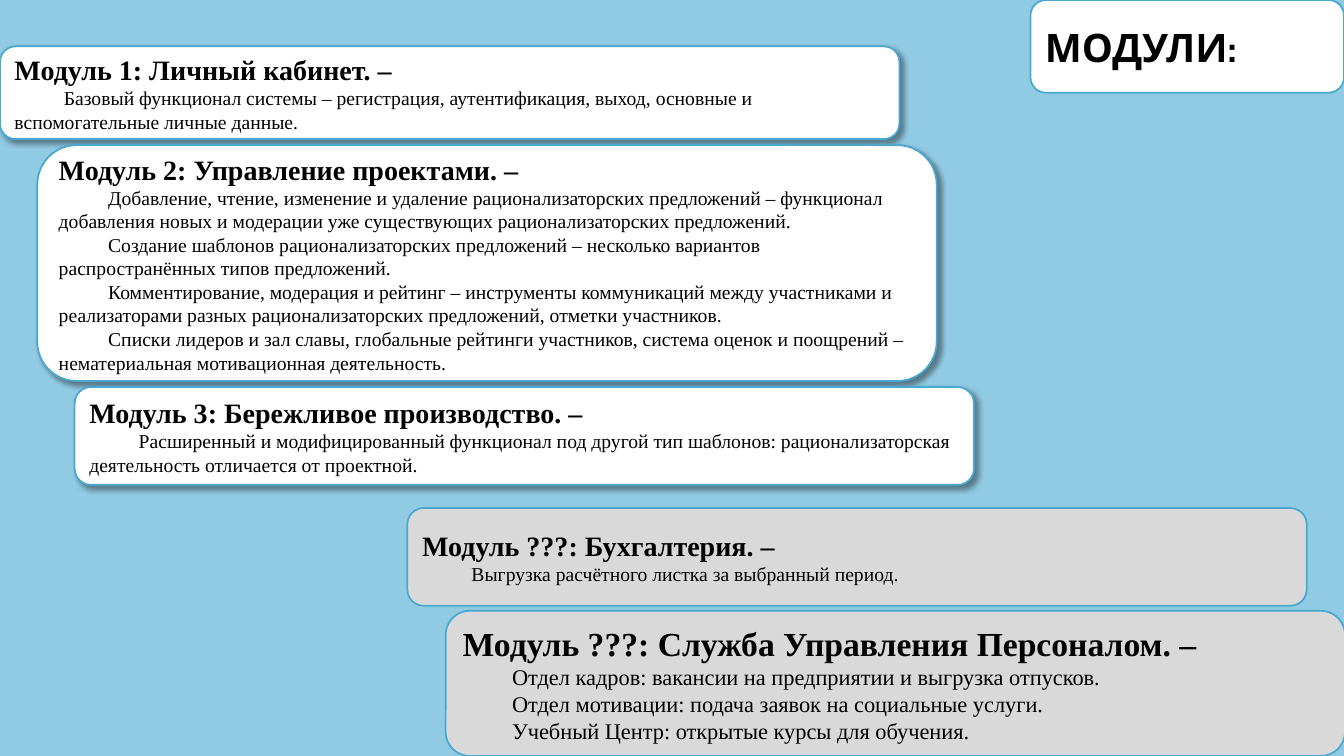
from lxml import etree
from pptx import Presentation
from pptx.dml.color import RGBColor
from pptx.enum.shapes import MSO_SHAPE
from pptx.enum.text import MSO_ANCHOR, PP_ALIGN
from pptx.oxml.ns import qn
from pptx.util import Inches, Pt

ROUNDED = MSO_SHAPE.ROUNDED_RECTANGLE
MIDDLE = MSO_ANCHOR.MIDDLE
LEFT = PP_ALIGN.LEFT

COLORS = {
    "background": "91CBE3",
    "line": "48A8D0",
    "active": "FFFFFF",
    "planned": "D9D9D9",
    "text": "000000",
}
TITLE_FONT = "Cabin"
BODY_FONT = "Times New Roman"
MODULE_WIDTH = 8.92
FIRST_LINE_INDENT = 0.49

TITLE = {"text": "МОДУЛИ:", "box": (10.22, 0, 3.11, 0.92), "size": 28}

# left, top, height in inches; sizes of heading and details in points
MODULES = [
    {"place": (0, 0.46, 0.92), "state": "active", "sizes": (20, 14),
     "heading": "Модуль 1: Личный кабинет. –",
     "details": [
         "Базовый функционал системы – регистрация, аутентификация, выход, "
         "основные и вспомогательные личные данные.",
     ]},
    {"place": (0.37, 1.44, 2.34), "state": "active", "sizes": (20, 14),
     "heading": "Модуль 2: Управление проектами. –",
     "details": [
         "Добавление, чтение, изменение и удаление рационализаторских предложений – функционал "
         "добавления новых и модерации уже существующих рационализаторских предложений.",
         "Создание шаблонов рационализаторских предложений – несколько вариантов "
         "распространённых типов предложений.",
         "Комментирование, модерация и рейтинг – инструменты коммуникаций между участниками и "
         "реализаторами разных рационализаторских предложений, отметки участников.",
         "Списки лидеров и зал славы, глобальные рейтинги участников, система оценок и "
         "поощрений – нематериальная мотивационная деятельность.",
     ]},
    {"place": (0.74, 3.84, 0.97), "state": "active", "sizes": (20, 14),
     "heading": "Модуль 3: Бережливое производство. –",
     "details": [
         "Расширенный и модифицированный функционал под другой тип шаблонов: "
         "рационализаторская деятельность отличается от проектной.",
     ]},
    {"place": (4.04, 5.04, 0.97), "state": "planned", "sizes": (20, 14),
     "heading": "Модуль ???: Бухгалтерия. –",
     "details": ["Выгрузка расчётного листка за выбранный период."]},
    {"place": (4.42, 6.06, 1.44), "state": "planned", "sizes": (24, 16),
     "heading": "Модуль ???: Служба Управления Персоналом. –",
     "details": [
         "Отдел кадров: вакансии на предприятии и выгрузка отпусков.",
         "Отдел мотивации: подача заявок на социальные услуги.",
         "Учебный Центр: открытые курсы для обучения.",
     ]},
]


def color(name):
    return RGBColor.from_string(COLORS[name])


def add_card(slide, box, fill):
    shape = slide.shapes.add_shape(ROUNDED, *[Inches(value) for value in box])
    shape.fill.solid()
    shape.fill.fore_color.rgb = color(fill)
    shape.line.color.rgb = color("line")
    shape.line.width = Pt(1.25)
    shape.shadow.inherit = False
    shape.text_frame.word_wrap = True
    shape.text_frame.vertical_anchor = MIDDLE
    return shape


def add_shadow(shape):
    """Cast a soft shadow towards the lower right."""
    effects = shape._element.spPr.find(qn("a:effectLst"))
    shadow = etree.SubElement(effects, qn("a:outerShdw"), blurRad=str(Pt(4)), dist=str(Pt(3)),
                              dir=str(45 * 60000), algn="tl", rotWithShape="0")
    shade = etree.SubElement(shadow, qn("a:srgbClr"), val=COLORS["text"])
    etree.SubElement(shade, qn("a:alpha"), val="40000")


def write(paragraph, text, size, font, bold):
    paragraph.alignment = LEFT
    run = paragraph.add_run()
    run.text = text
    run.font.size = Pt(size)
    run.font.name = font
    run.font.bold = bold
    run.font.color.rgb = color("text")


def add_module(slide, module):
    left, top, height = module["place"]
    shape = add_card(slide, (left, top, MODULE_WIDTH, height), module["state"])
    if module["state"] == "active":
        add_shadow(shape)
    heading_size, detail_size = module["sizes"]
    frame = shape.text_frame
    write(frame.paragraphs[0], module["heading"], heading_size, BODY_FONT, True)
    for detail in module["details"]:
        paragraph = frame.add_paragraph()
        write(paragraph, detail, detail_size, BODY_FONT, False)
        properties = paragraph._p.get_or_add_pPr()
        properties.set("marL", "0")
        properties.set("indent", str(Inches(FIRST_LINE_INDENT)))


def main():
    presentation = Presentation()
    presentation.slide_width = Inches(13.33)
    presentation.slide_height = Inches(7.5)
    slide = presentation.slides.add_slide(presentation.slide_layouts[6])
    slide.background.fill.solid()
    slide.background.fill.fore_color.rgb = color("background")

    title = add_card(slide, TITLE["box"], "active")
    write(title.text_frame.paragraphs[0], TITLE["text"], TITLE["size"], TITLE_FONT, True)
    for module in MODULES:
        add_module(slide, module)
    presentation.save("out.pptx")


if __name__ == "__main__":
    main()
